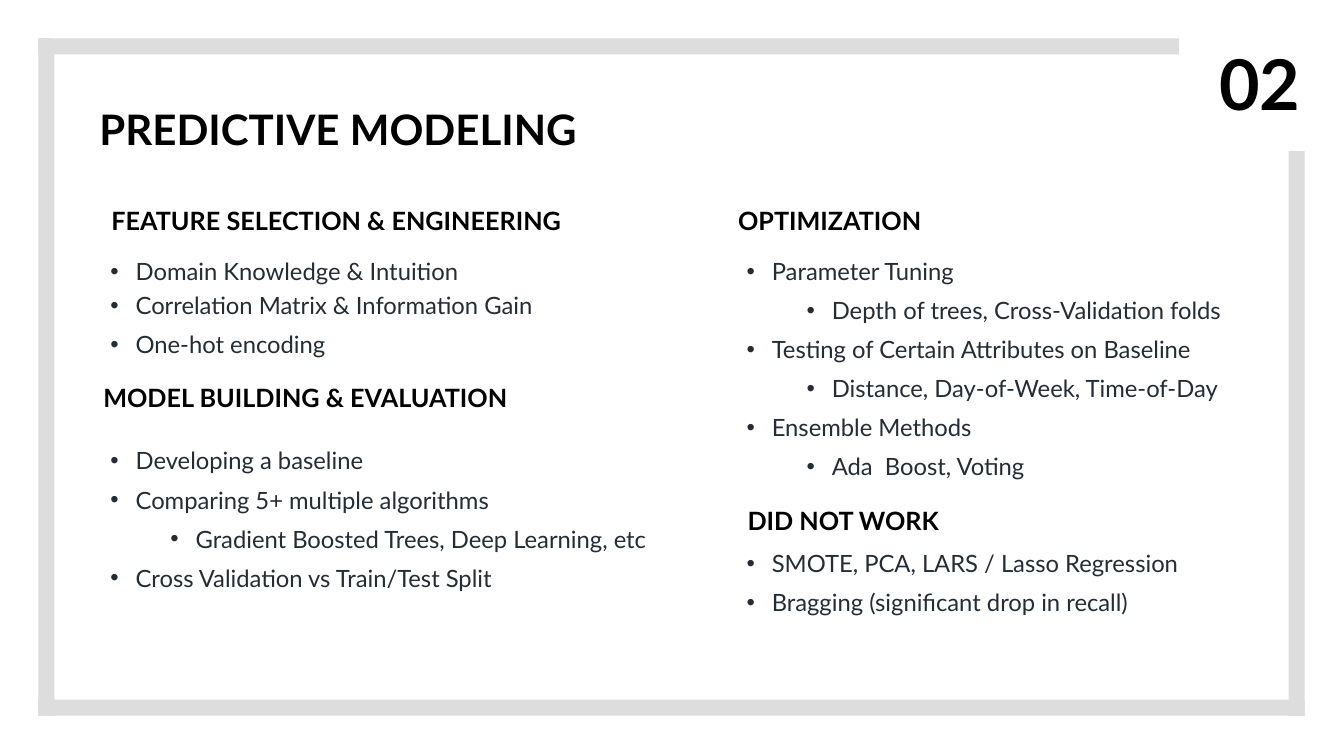
from pptx import Presentation
from pptx import util as u
from pptx.dml import color
from pptx.enum import shapes, text
from lxml import etree
from pptx.oxml import ns

COLORS = {"frame": "DDDDDD", "heading": "000000", "body": "242C35"}
TITLE = {"name": "Lato", "size": u.Pt(60), "bold": True}
HEADING = {"name": "Lato", "size": u.Pt(36), "bold": True}
NUMBER = {"name": "Lato", "size": u.Pt(100), "bold": True}
BODY = {"name": "Lato", "size": u.Pt(34), "bold": False}
GAP = 6.8
INDENTS = [0.5, 1.69]

FRAME_BARS = [
    (0.76, 0.76, 22.63, 0.32),
    (0.76, 13.88, 25.12, 0.32),
    (0.76, 0.76, 0.32, 13.44),
    (25.56, 3, 0.32, 11.21),
]
FEATURES = [
    ("Domain Knowledge & Intuition", 0, 0),
    ("Correlation Matrix & Information Gain", 0, 0),
    ("One-hot encoding", 0, GAP),
]
MODELS = [
    ("Developing a baseline", 0, 0),
    ("Comparing 5+ multiple algorithms", 0, GAP),
    ("Gradient Boosted Trees, Deep Learning, etc", 1, GAP),
    ("Cross Validation vs Train/Test Split", 0, GAP),
]
OPTIMIZATION = [
    ("Parameter Tuning", 0, 0),
    ("Depth of trees, Cross-Validation folds", 1, GAP),
    ("Testing of Certain Attributes on Baseline", 0, GAP),
    ("Distance, Day-of-Week, Time-of-Day", 1, GAP),
    ("Ensemble Methods", 0, GAP),
    ("Ada  Boost, Voting", 1, GAP),
    ("SMOTE, PCA, LARS / Lasso Regression", 0, 89.5),
    ("Bragging (significant drop in recall)", 0, GAP),
]


def rgb(key):
    return color.RGBColor.from_string(COLORS[key])


def add_box(page):
    return page.shapes.add_textbox(0, 0, 0, 0)


def place(box, area, side, top):
    box.left, box.top, box.width, box.height = map(u.Inches, area)
    frame = box.text_frame
    layout = {
        "word_wrap": True,
        "auto_size": text.MSO_AUTO_SIZE.NONE,
        "vertical_anchor": text.MSO_ANCHOR.TOP,
        "margin_left": u.Inches(side),
        "margin_right": u.Inches(side),
        "margin_top": u.Inches(top),
        "margin_bottom": u.Inches(top),
    }
    for name, value in layout.items():
        setattr(frame, name, value)
    return frame


def style(para, words, values, key):
    span = para.add_run()
    span.text = words
    for name, value in values.items():
        setattr(span.font, name, value)
    span.font.color.rgb = rgb(key)


def fill_line(box, area, words, values, align=text.PP_ALIGN.LEFT):
    para = place(box, area, 0.1, 0.05).paragraphs[0]
    para.alignment = align
    para.space_before = u.Pt(0)
    style(para, words, values, "heading")


def add_bullet(para, level):
    props = para._p.get_or_add_pPr()
    props.set("marL", str(u.Inches(INDENTS[level])))
    props.set("indent", str(u.Inches(-0.5)))
    tint = etree.SubElement(props, ns.qn("a:buClr"))
    etree.SubElement(tint, ns.qn("a:srgbClr"), val=COLORS["body"])
    etree.SubElement(props, ns.qn("a:buFont"), typeface="Arial")
    etree.SubElement(props, ns.qn("a:buChar"), char="•")


def fill_list(box, area, items):
    frame = place(box, area, 0.24, 0.12)
    for index, (words, level, gap) in enumerate(items):
        para = frame.add_paragraph() if index else frame.paragraphs[0]
        para.level = level
        para.line_spacing = 1.2
        para.space_before = u.Pt(gap)
        add_bullet(para, level)
        style(para, words, BODY, "body")


def add_bar(page, area):
    bar = page.shapes.add_shape(shapes.MSO_SHAPE.RECTANGLE, *map(u.Inches, area))
    bar.shadow.inherit = False
    bar.fill.solid()
    bar.fill.fore_color.rgb = rgb("frame")
    bar.line.fill.background()


def main():
    deck = Presentation()
    deck.slide_width, deck.slide_height = u.Inches(26.66), u.Inches(15)
    page = deck.slides.add_slide(deck.slide_layouts.get_by_name("Comparison"))
    title, left_head, left_list, right_head, right_list = page.placeholders

    for area in FRAME_BARS:
        add_bar(page, area)

    fill_line(title, (1.87, 2.01, 10.21, 1.11), "PREDICTIVE MODELING", TITLE)
    fill_line(add_box(page), (23.67, 0.76, 2.22, 1.78), "02", NUMBER, text.PP_ALIGN.RIGHT)

    fill_line(left_head, (2.11, 4.02, 9.72, 0.71), "FEATURE SELECTION & ENGINEERING", HEADING)
    fill_list(left_list, (1.95, 4.86, 9.32, 2.31), FEATURES)
    fill_line(add_box(page), (1.95, 7.54, 10.05, 0.71), "MODEL BUILDING & EVALUATION", HEADING)
    fill_list(add_box(page), (1.95, 8.62, 11.52, 2.85), MODELS)

    fill_line(right_head, (14.54, 4.02, 10.1, 0.71), "OPTIMIZATION", HEADING)
    fill_list(right_list, (14.57, 4.86, 10.05, 9.37), OPTIMIZATION)
    fill_line(add_box(page), (14.73, 9.98, 9.72, 0.71), "DID NOT WORK", HEADING)

    deck.save("out.pptx")


if __name__ == "__main__":
    main()
